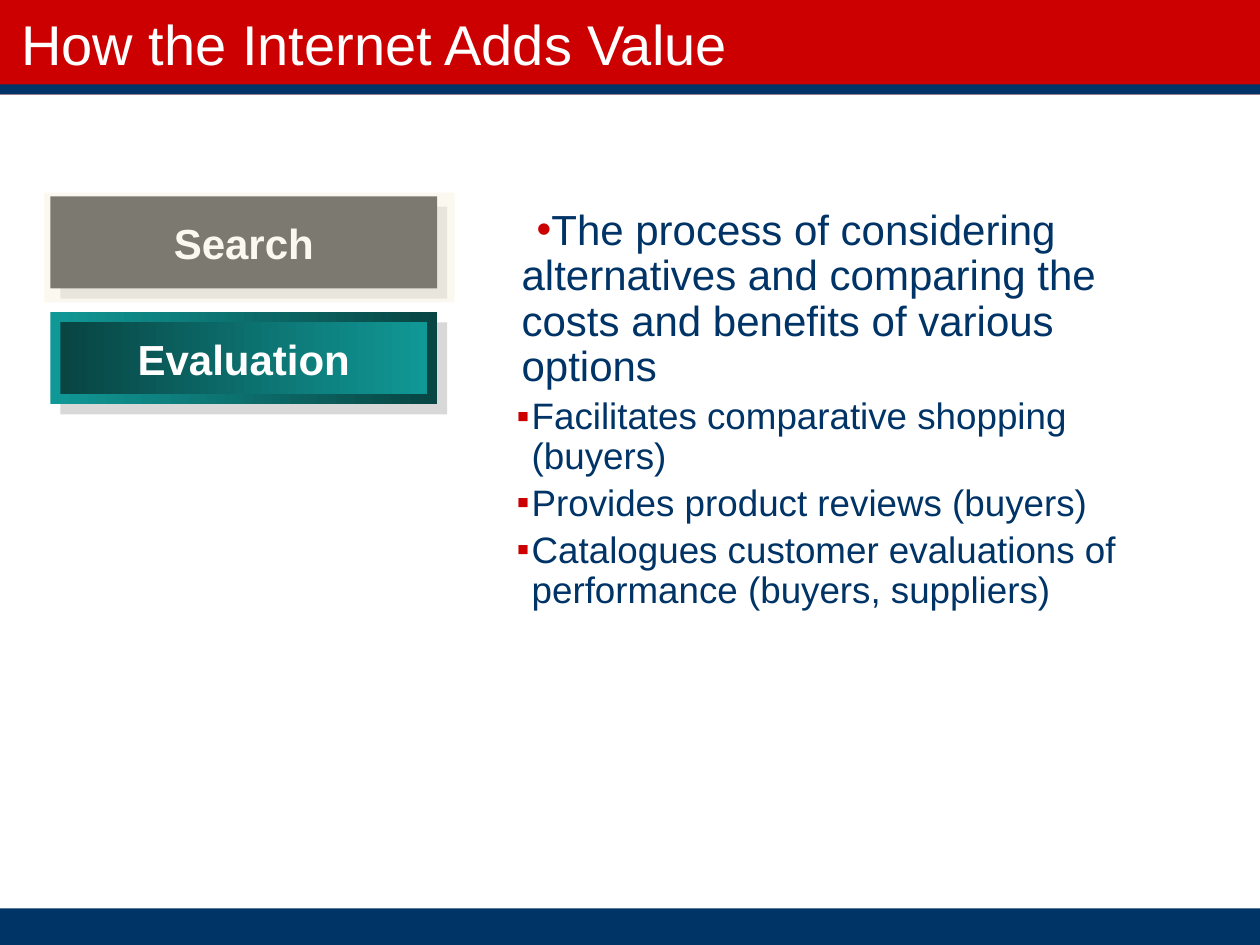
from lxml import etree
from pptx import Presentation
from pptx.dml.color import RGBColor
from pptx.enum.shapes import MSO_SHAPE
from pptx.enum.text import MSO_ANCHOR, PP_ALIGN
from pptx.oxml.ns import qn
from pptx.util import Inches, Pt

RECTANGLE = MSO_SHAPE.RECTANGLE
MIDDLE, TOP = MSO_ANCHOR.MIDDLE, MSO_ANCHOR.TOP
LEFT, CENTER = PP_ALIGN.LEFT, PP_ALIGN.CENTER

WIDTH, HEIGHT = 10, 7.5
RED, NAVY, WHITE, BLACK = "CC0000", "003366", "FFFFFF", "000000"
SHADOW, VEIL = "B2B2B2", "F8F3E0"
TEAL, DARK_TEAL = "109896", "084543"

# Left margin and first-line indent in inches, size and bullet for each level
LEVELS = [
    {"margin": 0.48, "indent": 0.12, "size": 24, "bullet": "•"},
    {"margin": 0.56, "indent": -0.12, "size": 21, "bullet": "▪"},
]
BODY = [
    (0, "The process of considering alternatives and comparing the costs "
        "and benefits of various options"),
    (1, "Facilitates comparative shopping (buyers)"),
    (1, "Provides product reviews (buyers)"),
    (1, "Catalogues customer evaluations of performance (buyers, suppliers)"),
]


def color(value):
    return RGBColor.from_string(value)


def inches(box):
    return [Inches(length) for length in box]


def set_attributes(target, values):
    for name, value in values.items():
        setattr(target, name, value)


def add_rectangle(slide, box, colors, opacity=100):
    """Add a borderless rectangle; two colours make a left-to-right gradient."""
    shape = slide.shapes.add_shape(RECTANGLE, *inches(box))
    shape.shadow.inherit = False
    shape.line.fill.background()
    if len(colors) == 2:
        shape.fill.gradient()
        shape.fill.gradient_angle = 0
        for stop, value in zip(shape.fill.gradient_stops, colors):
            stop.color.rgb = color(value)
    else:
        shape.fill.solid()
        shape.fill.fore_color.rgb = color(colors[0])
    if opacity < 100:
        fill_color = shape.fill._xPr.find(".//" + qn("a:srgbClr"))
        etree.SubElement(fill_color, qn("a:alpha"), val=str(opacity * 1000))
    return shape


def format_frame(frame, anchor, wrap=True):
    set_attributes(frame, {
        "word_wrap": wrap, "vertical_anchor": anchor,
        "margin_left": 0, "margin_right": 0, "margin_top": 0, "margin_bottom": 0,
    })


def write(paragraph, text, size, value, bold=False, align=LEFT):
    paragraph.alignment = align
    run = paragraph.add_run()
    run.text = text
    set_attributes(run.font, {"name": "Arial", "size": Pt(size), "bold": bold})
    run.font.color.rgb = color(value)


def add_bullet(paragraph, level):
    properties = paragraph._p.get_or_add_pPr()
    properties.set("marL", str(Inches(level["margin"])))
    properties.set("indent", str(Inches(level["indent"])))
    bullet_color = etree.SubElement(properties, qn("a:buClr"))
    etree.SubElement(bullet_color, qn("a:srgbClr"), val=RED)
    etree.SubElement(properties, qn("a:buFont"), typeface="Arial")
    etree.SubElement(properties, qn("a:buChar"), char=level["bullet"])


def add_bands(slide):
    add_rectangle(slide, (0, 0, WIDTH, 0.1 * HEIGHT), [RED])
    add_rectangle(slide, (0, 7.21, WIDTH, HEIGHT - 7.21), [NAVY])
    add_rectangle(slide, (0, 0.67, WIDTH, 0.08), [NAVY])


def add_title(slide, box, text):
    frame = slide.shapes.add_textbox(*inches(box)).text_frame
    format_frame(frame, MIDDLE)
    write(frame.paragraphs[0], text, 32, WHITE)


def add_body(slide, box, items):
    frame = slide.shapes.add_textbox(*inches(box)).text_frame
    format_frame(frame, TOP)
    for index, (depth, text) in enumerate(items):
        level = LEVELS[depth]
        paragraph = frame.add_paragraph() if index else frame.paragraphs[0]
        set_attributes(paragraph, {
            "level": depth, "line_spacing": 0.9,
            "space_before": Pt(0.2 * level["size"]),
        })
        write(paragraph, text, level["size"], NAVY)
        add_bullet(paragraph, level)


def add_button(slide, box, text, frame_colors, face_colors):
    """Add a framed button with an offset translucent shadow."""
    left, top, width, height = box
    inset = 0.08
    add_rectangle(slide, (left + inset, top + inset, width, height), [SHADOW], 50)
    add_rectangle(slide, box, frame_colors)
    face = add_rectangle(
        slide, (left + inset, top + inset, width - 2 * inset, height - 2 * inset),
        face_colors)
    format_frame(face.text_frame, MIDDLE, wrap=False)
    write(face.text_frame.paragraphs[0], text, 24, WHITE, True, CENTER)


def add_steps(slide, box):
    left, top, width, height = box
    pitch, border = 0.92, 0.05
    add_button(slide, box, "Search", [BLACK], [BLACK])
    add_button(slide, (left, top + pitch, width, height), "Evaluation",
               [TEAL, DARK_TEAL], [DARK_TEAL, TEAL])
    veil = (left - border, top - 0.03, width + 0.19, height + 0.14)
    add_rectangle(slide, veil, [VEIL], 50)


def main():
    presentation = Presentation()
    set_attributes(presentation, {
        "slide_width": Inches(WIDTH), "slide_height": Inches(HEIGHT)})
    slide = presentation.slides.add_slide(presentation.slide_layouts[6])
    add_bands(slide)
    add_title(slide, (0.17, 0.05, 9.67, 0.58), "How the Internet Adds Value")
    add_body(slide, (3.66, 1.66, 5.65, 5.01), BODY)
    add_steps(slide, (0.4, 1.56, 3.07, 0.73))
    presentation.save("out.pptx")


if __name__ == "__main__":
    main()
